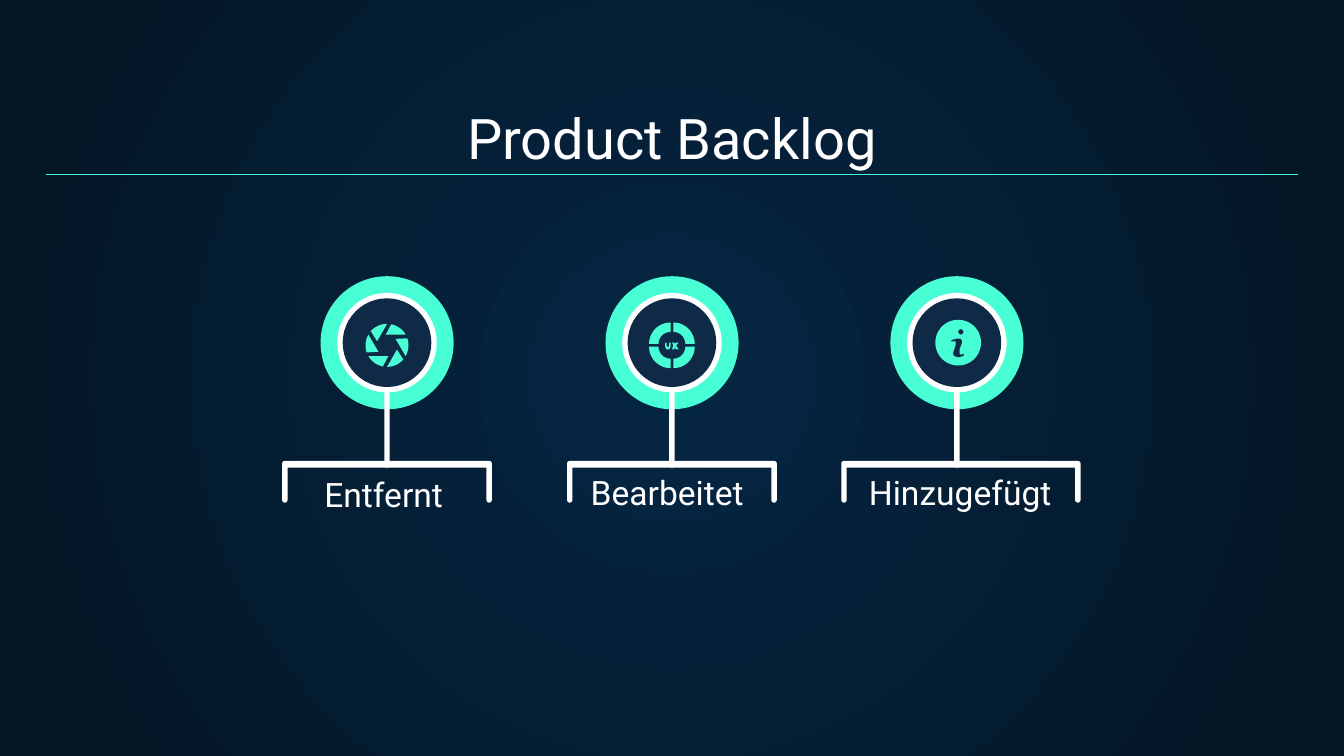
import math

import pptx
import pptx.dml.color
import pptx.enum.shapes
import pptx.enum.text
import pptx.oxml
import pptx.oxml.ns
import pptx.util
from pptx.util import Inches

MINT = "48FFD5"
WHITE = "FFFFFF"
NAVY = "0E2A47"
SHAPE = pptx.enum.shapes.MSO_SHAPE
MIDDLE_Y = 2.55
STEPS = [
    ("Entfernt", (1.65, 3.56, 2.41, 0.37), 2.1, 3.66),
    ("Bearbeitet", (3.83, 3.7, 2.27, 0.21), 4.22, 5.78),
    ("Hinzugefügt", (6.01, 3.7, 2.27, 0.21), 6.26, 8.04),
]


def rgb(color):
    return pptx.dml.color.RGBColor.from_string(color)


def paint(shape, color):
    shape.shadow.inherit = False
    shape.fill.solid()
    shape.fill.fore_color.rgb = rgb(color)
    shape.line.fill.background()


def add_disc(page, x, y, diameter, color):
    disc = page.shapes.add_shape(
        SHAPE.OVAL, Inches(x - diameter / 2), Inches(y - diameter / 2),
        Inches(diameter), Inches(diameter))
    paint(disc, color)


def add_outline(page, contours, color):
    builder = None
    for contour in contours:
        points = [(Inches(x), Inches(y)) for x, y in contour]
        if builder is None:
            builder = page.shapes.build_freeform(*points[0])
        else:
            builder.move_to(*points[0])
        builder.add_line_segments(points[1:], close=True)
    paint(builder.convert_to_shape(), color)


def arc(x, y, radius, start, end, count=12):
    angles = [math.radians(start + (end - start) * i / count) for i in range(count + 1)]
    return [(x + radius * math.cos(a), y + radius * math.sin(a)) for a in angles]


def format_text(box, text, frame, size):
    box.left, box.top, box.width, box.height = map(Inches, frame)
    body = box.text_frame
    body.text = text
    body.word_wrap = True
    body.auto_size = pptx.enum.text.MSO_AUTO_SIZE.NONE
    body.vertical_anchor = pptx.enum.text.MSO_ANCHOR.BOTTOM
    body.margin_left = body.margin_right = Inches(0.1)
    body.margin_top = body.margin_bottom = Inches(0.1)
    para = body.paragraphs[0]
    para.alignment = pptx.enum.text.PP_ALIGN.CENTER
    font = para.runs[0].font
    font.name = "Roboto"
    font.size = pptx.util.Pt(size)
    font.color.rgb = rgb(WHITE)


def set_background(page):
    fill = page.background.fill
    fill.gradient()
    for stop, color in zip(fill.gradient_stops, ("052643", "041523")):
        stop.color.rgb = rgb(color)
    qn = pptx.oxml.ns.qn
    gradient = page.element.find(".//" + qn("a:gradFill"))
    gradient.remove(gradient.find(qn("a:lin")))
    gradient.append(pptx.oxml.parse_xml(
        f'<a:path {pptx.oxml.ns.nsdecls("a")} path="circle">'
        '<a:fillToRect l="50000" t="50000" r="50000" b="50000"/></a:path>'))


def add_rule(page):
    rule = page.shapes.add_connector(
        pptx.enum.shapes.MSO_CONNECTOR.STRAIGHT,
        Inches(0.34), Inches(1.3), Inches(9.66), Inches(1.3))
    rule.line.color.rgb = rgb(MINT)
    rule.line.width = pptx.util.Pt(0.75)
    rule.element.spPr.append(pptx.oxml.parse_xml(
        f'<a:effectLst {pptx.oxml.ns.nsdecls("a")}/>'))


def add_bracket(page, left, right):
    top, foot, corner, thickness = 3.43, 3.72, 0.02, 0.04
    beam = 3.48
    points = arc(left + corner, top + corner, corner, 180, 270)
    points += arc(right - corner, top + corner, corner, 270, 360)
    points += arc(right - corner, foot, corner, 0, 180)
    points += [(right - thickness, beam), (left + thickness, beam)]
    points += arc(left + corner, foot, corner, 0, 180)
    add_outline(page, [points], WHITE)


def add_badge(page, x):
    add_disc(page, x, MIDDLE_Y, 0.99, MINT)
    stem = page.shapes.add_shape(
        SHAPE.ROUNDED_RECTANGLE, Inches(x - 0.02), Inches(2.48), Inches(0.04), Inches(1))
    stem.adjustments[0] = 0.5
    paint(stem, WHITE)
    add_disc(page, x, MIDDLE_Y, 0.74, WHITE)
    add_disc(page, x, MIDDLE_Y, 0.66, NAVY)


def add_aperture(page, x, y):
    for turn in range(0, 360, 60):
        blade = arc(x, y, 0.16, turn - 139, turn - 90)
        blade += arc(x, y, 0.08, turn - 157, turn - 157, 1)
        add_outline(page, [blade], MINT)


def add_ux_target(page, x, y):
    for turn in range(0, 360, 90):
        middle = math.radians(turn + 45)
        corner_x = x + math.copysign(0.01, math.cos(middle))
        corner_y = y + math.copysign(0.01, math.sin(middle))
        quarter = arc(corner_x, corner_y, 0.16, turn, turn + 90)
        quarter += arc(corner_x, corner_y, 0.09, turn + 90, turn)
        add_outline(page, [quarter], MINT)
    letter_u = [(4.95, 2.55), (4.95, 2.58), (4.96, 2.6), (4.98, 2.6), (4.99, 2.58),
                (4.99, 2.55), (4.98, 2.55), (4.98, 2.58), (4.96, 2.58), (4.96, 2.55)]
    letter_x = [(5, 2.55), (5.01, 2.57), (5, 2.6), (5.02, 2.6), (5.02, 2.58), (5.03, 2.6),
                (5.05, 2.6), (5.03, 2.57), (5.05, 2.55), (5.03, 2.55), (5.02, 2.56),
                (5.02, 2.55)]
    for letter in (letter_u, letter_x):
        add_outline(page, [letter], MINT)


def add_info(page, x, y):
    disc = arc(x, y, 0.17, 0, 360, 60)
    dot = arc(x + 0.02, y - 0.08, 0.02, 360, 0)
    stroke = [(7.12, 2.52), (7.15, 2.52), (7.16, 2.54), (7.16, 2.55), (7.14, 2.6),
              (7.14, 2.63), (7.15, 2.64), (7.17, 2.63), (7.17, 2.65), (7.13, 2.66),
              (7.1, 2.65), (7.09, 2.63), (7.11, 2.57), (7.11, 2.54), (7.08, 2.54),
              (7.08, 2.53)]
    add_outline(page, [disc, dot, stroke[::-1]], MINT)


def main():
    deck = pptx.Presentation()
    deck.slide_width = Inches(10)
    deck.slide_height = deck.slide_width * 9 // 16
    page = deck.slides.add_slide(deck.slide_layouts[5])
    set_background(page)
    format_text(page.shapes.title, "Product Backlog", (0.34, 0.71, 9.32, 0.66), 30)
    for index, (label, frame, left, right) in enumerate(STEPS):
        box = page.shapes.add_textbox(*map(Inches, frame))
        format_text(box, label, frame, 18)
        add_bracket(page, left, right)
        add_badge(page, 2.88 + 2.12 * index)
    add_aperture(page, 2.88, 2.57)
    add_ux_target(page, 5, 2.57)
    add_info(page, 7.13, MIDDLE_Y)
    add_rule(page)
    deck.save("out.pptx")


if __name__ == "__main__":
    main()
